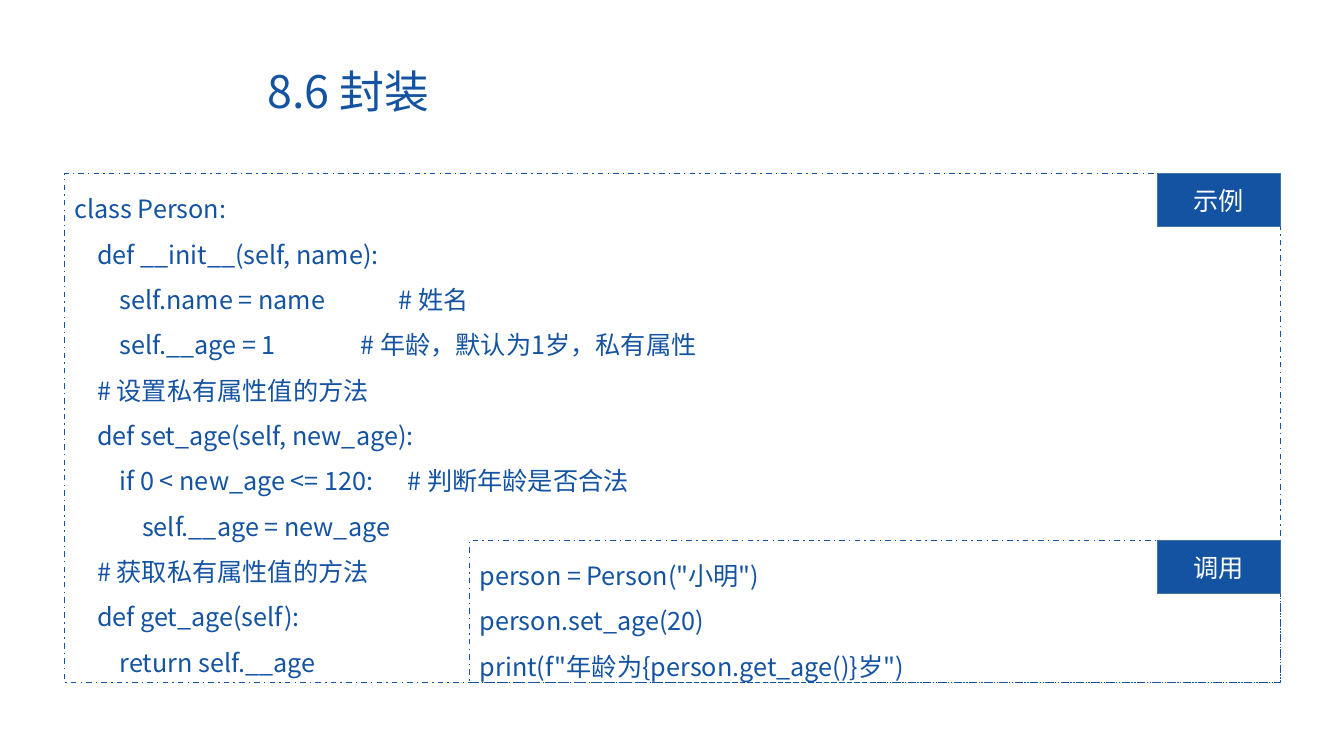
from dataclasses import dataclass

from lxml.etree import SubElement
from pptx import Presentation
from pptx.dml.color import RGBColor
from pptx.enum.dml import MSO_LINE
from pptx.enum.shapes import MSO_SHAPE
from pptx.enum.text import MSO_ANCHOR, MSO_AUTO_SIZE, PP_ALIGN
from pptx.oxml.ns import qn
from pptx.shapes.autoshape import Shape
from pptx.slide import Slide
from pptx.util import Emu, Pt

EMU_PER_PX = 9144
FONT = "Noto Sans CJK SC"
BLUE, EDGE, WHITE = "1353A2", "43739E", "FFFFFF"
PANEL_RIGHT = 1270
TAG_WIDTH, TAG_HEIGHT = 122, 53

EXAMPLE_CODE = """\
class Person:
    def __init__(self, name):
        self.name = name             # 姓名
        self.__age = 1               # 年龄，默认为1岁，私有属性
    # 设置私有属性值的方法
    def set_age(self, new_age):
        if 0 < new_age <= 120:      # 判断年龄是否合法
            self.__age = new_age
    # 获取私有属性值的方法
    def get_age(self):
        return self.__age"""

CALL_CODE = """\
person = Person("小明")
person.set_age(20)
print(f"年龄为{person.get_age()}岁")"""


@dataclass
class CodePanel:
    tag: str
    code: str
    left: int
    top: int
    height: int


PANELS = [
    CodePanel("示例", EXAMPLE_CODE, 64, 172, 505),
    CodePanel("调用", CALL_CODE, 466, 536, 141),
]


def px(length: int) -> Emu:
    return Emu(length * EMU_PER_PX)


def color(value: str) -> RGBColor:
    return RGBColor.from_string(value)


def write_text(shape: Shape, text: str, *, size: int = 18, fill: str = BLUE,
               align: PP_ALIGN = PP_ALIGN.LEFT, anchor: MSO_ANCHOR = MSO_ANCHOR.MIDDLE,
               spacing: float = 1.0) -> None:
    frame = shape.text_frame
    frame.word_wrap = True
    frame.auto_size = MSO_AUTO_SIZE.NONE
    frame.vertical_anchor = anchor
    for index, line in enumerate(text.split("\n")):
        paragraph = frame.add_paragraph() if index else frame.paragraphs[0]
        paragraph.alignment = align
        paragraph.line_spacing = spacing
        paragraph.space_before = Pt(0)
        run = paragraph.add_run()
        run.text = line
        run.font.size = Pt(size)
        run.font.color.rgb = color(fill)
        run.font.name = FONT
        SubElement(run.font._element, qn("a:ea"), typeface=FONT)


def add_box(slide: Slide, left: int, top: int, width: int, height: int, line: str) -> Shape:
    box = slide.shapes.add_shape(MSO_SHAPE.RECTANGLE, px(left), px(top), px(width), px(height))
    box.shadow.inherit = False
    box.line.color.rgb = color(line)
    box.line.width = Pt(1)
    return box


def add_code_panel(slide: Slide, panel: CodePanel) -> None:
    frame = add_box(slide, panel.left, panel.top, PANEL_RIGHT - panel.left, panel.height, BLUE)
    frame.fill.background()
    frame.line.dash_style = MSO_LINE.DASH_DOT
    write_text(frame, panel.code, anchor=MSO_ANCHOR.TOP, spacing=1.5)

    tag = add_box(slide, PANEL_RIGHT - TAG_WIDTH, panel.top, TAG_WIDTH, TAG_HEIGHT, EDGE)
    tag.fill.solid()
    tag.fill.fore_color.rgb = color(BLUE)
    write_text(tag, panel.tag, fill=WHITE, align=PP_ALIGN.CENTER)


def main() -> None:
    presentation = Presentation()
    presentation.slide_width, presentation.slide_height = px(1333), px(750)
    slide = presentation.slides.add_slide(presentation.slide_layouts.get_by_name("Title Only"))

    title = slide.shapes.title
    title.left, title.top, title.width, title.height = px(255), px(64), px(914), px(59)
    write_text(title, "8.6 封装", size=32, spacing=0.9)

    for panel in PANELS:
        add_code_panel(slide, panel)
    presentation.save("out.pptx")


if __name__ == "__main__":
    main()
